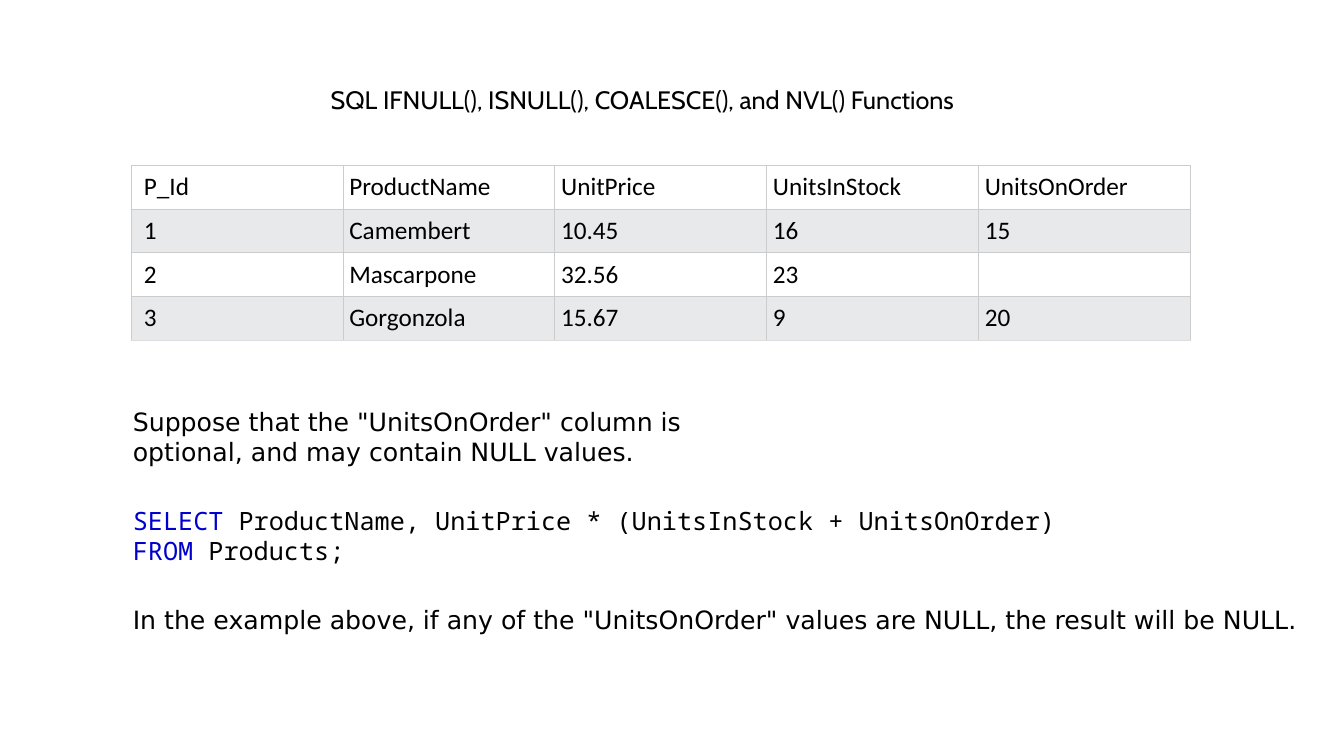
from lxml.etree import SubElement
from pptx import Presentation
from pptx.dml.color import RGBColor
from pptx.enum.text import MSO_ANCHOR, PP_ALIGN
from pptx.oxml.ns import qn
from pptx.util import Pt

COLORS = {
    "text": "000000",
    "keyword": "0000CD",
    "row": "FFFFFF",
    "alternate_row": "E7E9EB",
    "border": "CCCCCC",
    "last_border": "DDDDDD",
}
HEADING_FONT, TABLE_FONT = "Cabin", "Calibri"
PROSE_FONT, CODE_FONT = "DejaVu Sans", "Noto Sans Mono"
TEXT_SIZE = 18
BORDER_WIDTH = 0.6

HEADING = "SQL IFNULL(), ISNULL(), COALESCE(), and NVL() Functions"
PRODUCTS = [
    ["P_Id", "ProductName", "UnitPrice", "UnitsInStock", "UnitsOnOrder"],
    ["1", "Camembert", "10.45", "16", "15"],
    ["2", "Mascarpone", "32.56", "23", ""],
    ["3", "Gorgonzola", "15.67", "9", "20"],
]
PREMISE = ('Suppose that the "UnitsOnOrder" column is optional, '
           "and may contain NULL values.")
QUERY = [
    ("SELECT", " ProductName, UnitPrice * (UnitsInStock + UnitsOnOrder)"),
    ("FROM", " Products;"),
]
CONCLUSION = ('In the example above, if any of the "UnitsOnOrder" values '
              "are NULL, the result will be NULL.")

# Left, top, width, height in points
HEADING_BOX = (229, 56.9, 471, 29)
TABLE_BOX = (93.6, 118.1, 756.7, 124.8)
PREMISE_BOX = (87.8, 286.6, 480, 51)
QUERY_BOX = (87.8, 357.3, 781, 51)
CONCLUSION_BOX = (87.8, 428.4, 867, 29)


def add_run(paragraph, text, font_name, color="text"):
    run = paragraph.add_run()
    run.text = text
    font_format = {"name": font_name, "size": Pt(TEXT_SIZE), "bold": False}
    for attribute, value in font_format.items():
        setattr(run.font, attribute, value)
    run.font.color.rgb = RGBColor.from_string(COLORS[color])


def add_heading(slide, box):
    heading = slide.shapes.title
    for attribute, value in zip(("left", "top", "width", "height"), box):
        setattr(heading, attribute, Pt(value))
    frame = heading.text_frame
    frame.vertical_anchor = MSO_ANCHOR.TOP
    frame.word_wrap = True
    paragraph = frame.paragraphs[0]
    paragraph.alignment = PP_ALIGN.LEFT
    add_run(paragraph, HEADING, HEADING_FONT)


def set_borders(cell, bottom_color):
    cell_properties = cell._tc.get_or_add_tcPr()
    sides = {"L": "border", "R": "border", "T": "border", "B": bottom_color}
    for side, color in sides.items():
        line = SubElement(cell_properties, qn(f"a:ln{side}"),
                          w=str(Pt(BORDER_WIDTH)))
        fill = SubElement(line, qn("a:solidFill"))
        SubElement(fill, qn("a:srgbClr"), val=COLORS[color])


def add_product_table(slide, box):
    row_count, column_count = len(PRODUCTS), len(PRODUCTS[0])
    table = slide.shapes.add_table(
        row_count, column_count, *map(Pt, box)).table
    table.first_row = table.horz_banding = False
    for column in table.columns:
        column.width = Pt(box[2] / column_count)
    for row_index, product in enumerate(PRODUCTS):
        last = row_index == row_count - 1
        table.rows[row_index].height = Pt(box[3] / row_count)
        for column_index, value in enumerate(product):
            cell = table.cell(row_index, column_index)
            margins = {
                "margin_left": 4.6 if column_index else 9.2,
                "margin_top": 4.6,
                "margin_right": 4.6,
                "margin_bottom": 4.6,
            }
            for attribute, margin in margins.items():
                setattr(cell, attribute, Pt(margin))
            set_borders(cell, "last_border" if last else "border")
            cell.fill.solid()
            shade = "alternate_row" if row_index % 2 else "row"
            cell.fill.fore_color.rgb = RGBColor.from_string(COLORS[shade])
            if value:
                add_run(cell.text_frame.paragraphs[0], value, TABLE_FONT)


def add_text_area(slide, box):
    """Add a wrapping text box and return its first paragraph."""
    frame = slide.shapes.add_textbox(*map(Pt, box)).text_frame
    frame.word_wrap = True
    return frame.paragraphs[0]


def add_prose(slide, box, sentence):
    add_run(add_text_area(slide, box), sentence, PROSE_FONT)


def add_query(slide, box):
    paragraph = add_text_area(slide, box)
    for index, (keyword, clause) in enumerate(QUERY):
        if index:
            paragraph.add_line_break()
        add_run(paragraph, keyword, CODE_FONT, "keyword")
        add_run(paragraph, clause, CODE_FONT)


def main():
    presentation = Presentation()
    presentation.slide_width, presentation.slide_height = Pt(960), Pt(540)
    slide = presentation.slides.add_slide(presentation.slide_layouts[5])
    add_heading(slide, HEADING_BOX)
    add_product_table(slide, TABLE_BOX)
    add_prose(slide, PREMISE_BOX, PREMISE)
    add_query(slide, QUERY_BOX)
    add_prose(slide, CONCLUSION_BOX, CONCLUSION)
    presentation.save("out.pptx")


if __name__ == "__main__":
    main()
